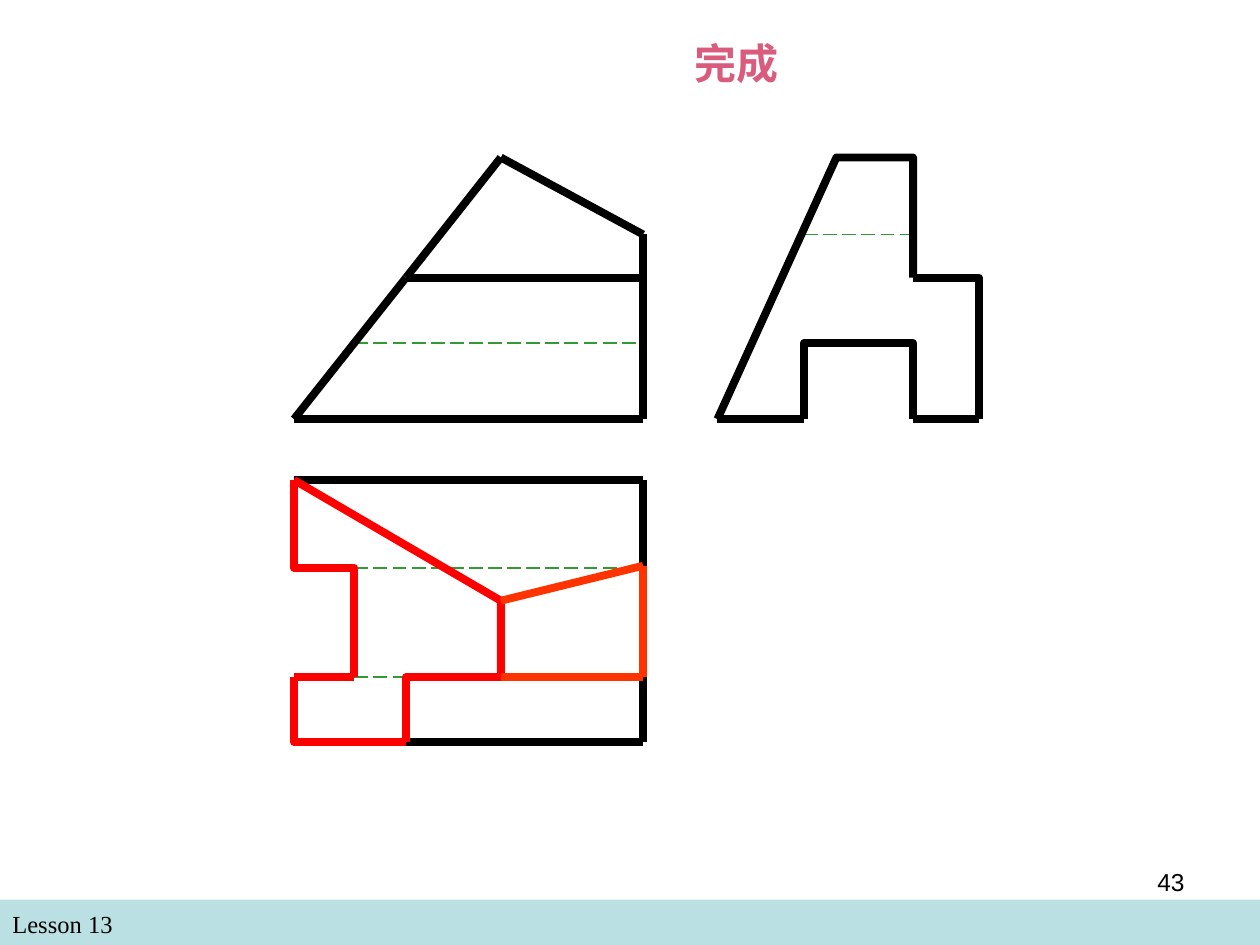
from lxml.etree import SubElement
from pptx import Presentation
from pptx.dml.color import RGBColor
from pptx.enum.dml import MSO_LINE
from pptx.enum.shapes import MSO_CONNECTOR, MSO_SHAPE
from pptx.enum.text import PP_ALIGN
from pptx.oxml.ns import qn
from pptx.util import Pt


def color(value):
    return RGBColor.from_string(value)


def add_text(text, left, top, width, height, size, font, fill, bold, align):
    box = slide.shapes.add_textbox(Pt(left), Pt(top), Pt(width), Pt(height))
    box.text_frame.word_wrap = True
    paragraph = box.text_frame.paragraphs[0]
    paragraph.text = text
    paragraph.alignment = align
    run = paragraph.runs[0]
    run.font.size = Pt(size)
    run.font.name = font
    run.font.bold = bold
    run.font.color.rgb = color(fill)


presentation = Presentation()
presentation.slide_width = Pt(720)
presentation.slide_height = Pt(540)
slide = presentation.slides.add_slide(presentation.slide_layouts[6])

footer = slide.shapes.add_shape(MSO_SHAPE.RECTANGLE, Pt(0), Pt(514), Pt(720), Pt(26))
footer.shadow.inherit = False
footer.fill.solid()
footer.fill.fore_color.rgb = color("BBE0E3")
footer.line.fill.background()
add_text("Lesson 13", 0, 516, 348, 24, 14, "Times New Roman", "000000", False, PP_ALIGN.LEFT)

left, notch, step, apex, right = 168, 202.5, 232, 286.2, 367.5
side_left, slot, side_apex, side_step, side_right = 410, 459.5, 478, 521.8, 559.5
peak, shoulder, ledge, slot_top, base = 90, 134, 158.7, 196, 239.5
back, slope_end, slot_back, ridge, slot_front, front = 274.3, 323.3, 324.5, 343.3, 387, 424

hidden_edges = [
    [(notch, slot_top), (right, slot_top)],
    [(slot, shoulder), (side_step, shoulder)],
    [(notch, slot_back), (right, slot_back)],
    [(notch, slot_front), (step, slot_front)],
]
front_view = [
    [(apex, peak), (step, ledge)],
    [(step, ledge), (left, base)],
    [(right, shoulder), (apex, peak)],
    [(right, shoulder), (right, ledge)],
    [(right, ledge), (right, base)],
    [(step, ledge), (right, ledge)],
    [(left, base), (right, base)],
]
side_view = [
    [(side_left, base), (side_apex, peak), (side_step, peak), (side_step, ledge)],
    [(side_step, ledge), (side_right, ledge), (side_right, base)],
    [(side_step, base), (side_step, slot_top), (slot, slot_top), (slot, base)],
    [(side_left, base), (slot, base)],
    [(side_step, base), (side_right, base)],
]
top_view = [
    [(left, back), (right, back)],
    [(right, back), (right, slope_end)],
    [(right, slot_front), (right, front)],
    [(step, front), (right, front)],
]
cut_edges = [
    [(left, back), (apex, ridge), (apex, slot_front)],
    [(left, back), (left, slot_back), (notch, slot_back), (notch, slot_front)],
    [(left, slot_front), (notch, slot_front)],
    [(left, slot_front), (left, front), (step, front)],
    [(step, front), (step, slot_front), (apex, slot_front)],
]
new_face = [
    [(right, slope_end), (right, slot_front)],
    [(apex, ridge), (right, slope_end)],
    [(apex, slot_front), (right, slot_front)],
]

for edges, stroke, width in [
    (hidden_edges, "339933", 1),
    (front_view, "000000", 4.5),
    (side_view, "000000", 4.5),
    (top_view, "000000", 4.5),
    (cut_edges, "FF0000", 4.5),
    (new_face, "FF3300", 4.5),
]:
    for edge in edges:
        points = [(Pt(x), Pt(y)) for x, y in edge]
        if len(points) == 2:
            shape = slide.shapes.add_connector(MSO_CONNECTOR.STRAIGHT, *points[0], *points[1])
        else:
            builder = slide.shapes.build_freeform(*points[0])
            builder.add_line_segments(points[1:], close=False)
            shape = builder.convert_to_shape()
            shape.fill.background()
        shape.line.color.rgb = color(stroke)
        shape.line.width = Pt(width)
        if edges is hidden_edges:
            shape.line.dash_style = MSO_LINE.LONG_DASH
        SubElement(shape.line._get_or_add_ln(), qn("a:round"))
        SubElement(shape._element.spPr, qn("a:effectLst"))

add_text("完成", 390, 18, 102, 36, 24, "Times New Roman", "DA5C7D", True, PP_ALIGN.LEFT)
add_text("43", 516, 492, 168, 37.5, 14, "Arial", "000000", False, PP_ALIGN.RIGHT)

presentation.save("out.pptx")
